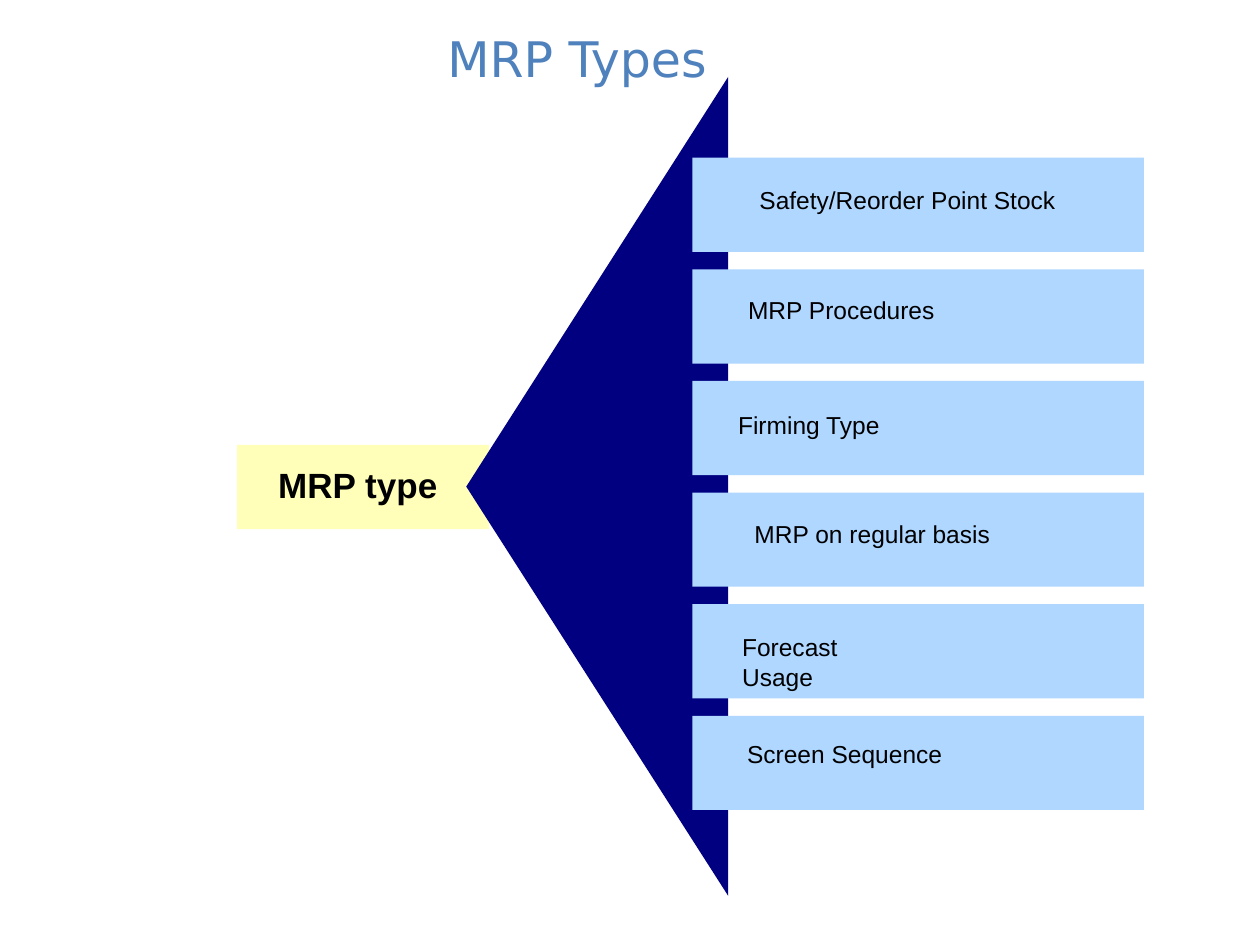
from dataclasses import dataclass

from pptx import Presentation
from pptx import util as u
from pptx.dml.color import RGBColor
from pptx.enum import shapes, text


@dataclass(frozen=True)
class Theme:
    title: str = "4F81BD"
    ink: str = "000000"
    source: str = "FFFFB9"
    fan: str = "000080"
    bar: str = "AFD7FF"
    title_font: str = "DejaVu Sans"
    body_font: str = "Arial"
    title_size: int = 28
    source_size: int = 20
    label_size: int = 14


theme = Theme()


def write(box, wording, *, size, color=theme.ink, font=theme.body_font, bold=False,
          align=text.PP_ALIGN.LEFT, anchor=text.MSO_ANCHOR.TOP, wrap=False):
    frame = box.text_frame
    frame.word_wrap = wrap
    frame.vertical_anchor = anchor
    para = frame.paragraphs[0]
    para.alignment = align
    span = para.add_run()
    span.text = wording
    span.font.name = font
    span.font.size = u.Pt(size)
    span.font.bold = bold
    span.font.color.rgb = RGBColor.from_string(color)
    return frame


def paint(shape, color):
    """Give a shape a flat fill with no outline or shadow."""
    shape.shadow.inherit = False
    shape.fill.solid()
    shape.fill.fore_color.rgb = RGBColor.from_string(color)
    shape.line.fill.background()


deck = Presentation()
deck.slide_width = u.Cm(25.4)
deck.slide_height = u.Cm(19.05)
page = deck.slides.add_slide(deck.slide_layouts[5])

title = page.shapes.title
title.left, title.top = u.Cm(0.2), u.Cm(0.43)
title.width, title.height = u.Cm(22.86), u.Cm(1.47)
write(title, "MRP Types", size=theme.title_size, color=theme.title,
      font=theme.title_font, align=text.PP_ALIGN.CENTER,
      anchor=text.MSO_ANCHOR.MIDDLE, wrap=True)

# Source block, with the fan opening from it
source = page.shapes.add_shape(shapes.MSO_SHAPE.RECTANGLE,
                               u.Cm(4.78), u.Cm(8.97), u.Cm(5.08), u.Cm(1.7))
paint(source, theme.source)

outline = page.shapes.build_freeform(u.Cm(9.4), u.Cm(9.81))
outline.add_line_segments([(u.Cm(14.68), u.Cm(18.06)), (u.Cm(14.68), u.Cm(1.55))])
paint(outline.convert_to_shape(), theme.fan)

source_label = page.shapes.add_textbox(u.Cm(5.61), u.Cm(9.35), u.Cm(3.23), u.Cm(0.84))
frame = write(source_label, "MRP type", size=theme.source_size, bold=True)
frame.margin_left = frame.margin_right = frame.margin_top = frame.margin_bottom = 0

# Wording, label left, label top and label width in cm
topics = [
    ("Safety/Reorder Point Stock", 15.06, 3.61, 6.48),
    ("MRP Procedures", 14.83, 5.82, 4.27),
    ("Firming Type", 14.63, 8.15, 3.4),
    ("MRP on regular basis", 14.96, 10.34, 5.26),
    ("Forecast Usage", 14.71, 12.62, 3.99),
    ("Screen Sequence", 14.81, 14.78, 4.45),
]
first_top, pitch = 3.18, 2.25

for row, (wording, left, top, width) in enumerate(topics):
    bar = page.shapes.add_shape(shapes.MSO_SHAPE.RECTANGLE, u.Cm(13.96),
                                u.Cm(first_top + row * pitch), u.Cm(9.1), u.Cm(1.9))
    paint(bar, theme.bar)
    label = page.shapes.add_textbox(u.Cm(left), u.Cm(top), u.Cm(width), u.Cm(0.86))
    write(label, wording, size=theme.label_size)

deck.save("out.pptx")
